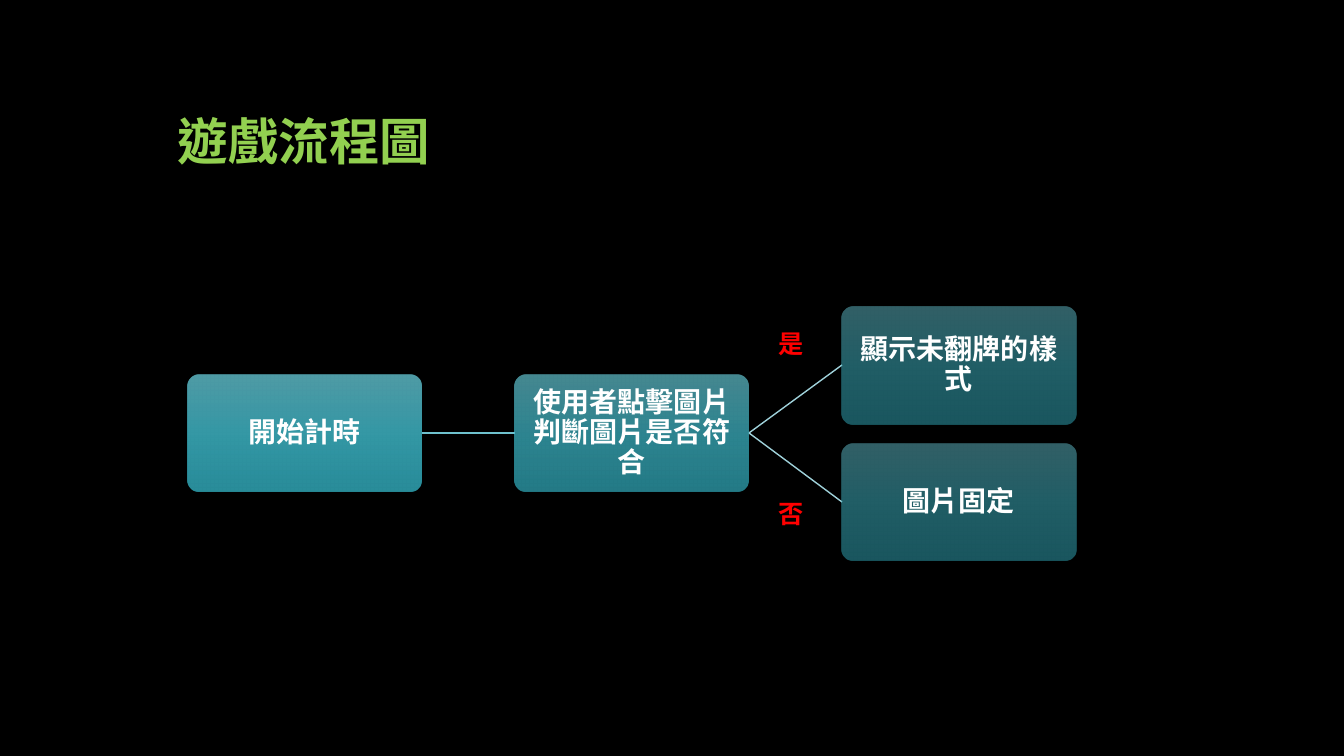
from dataclasses import dataclass

from pptx import Presentation
from pptx.dml.color import RGBColor
from pptx.enum.lang import MSO_LANGUAGE_ID as Language
from pptx.enum.shapes import MSO_CONNECTOR as Connector, MSO_SHAPE as Shape
from pptx.enum.text import MSO_ANCHOR as Anchor, PP_ALIGN as Align
from pptx.oxml import parse_xml
from pptx.oxml.ns import nsdecls, qn
from pptx.slide import Slide
from pptx.text.text import TextFrame
from pptx.util import Emu, Pt

SLIDE_WIDTH, SLIDE_HEIGHT = 1344, 756
EMU_PER_PX = 12192000 / SLIDE_WIDTH

BLACK = RGBColor(0x00, 0x00, 0x00)
WHITE = RGBColor(0xFF, 0xFF, 0xFF)
GREEN = RGBColor(0x92, 0xD0, 0x50)
RED = RGBColor(0xFF, 0x00, 0x00)
TEAL = RGBColor(0x6F, 0xC1, 0xCE)
PALE_TEAL = RGBColor(0x9F, 0xD1, 0xDA)
GRADIENT = (
    (0, RGBColor(0x63, 0xC0, 0xCE)),
    (50, RGBColor(0x41, 0xBD, 0xCD)),
    (100, RGBColor(0x32, 0xAD, 0xBE)),
)

TITLE_FONT, BODY_FONT = "Courier New", "Cabin"
STEP_WIDTH, STEP_HEIGHT = 234, 117
FIRST_COLUMN, COLUMN_PITCH = 188, 327
STEP_INSET = 5


@dataclass(frozen=True)
class Step:
    text: str
    column: int
    top: int
    opacity: int

    @property
    def left(self) -> int:
        return FIRST_COLUMN + self.column * COLUMN_PITCH

    @property
    def right(self) -> int:
        return self.left + STEP_WIDTH

    @property
    def middle(self) -> int:
        return self.top + round(STEP_HEIGHT / 2)


@dataclass(frozen=True)
class Link:
    start: Step
    end: Step
    color: RGBColor


@dataclass(frozen=True)
class Label:
    text: str
    left: int
    top: int
    width: int
    height: int
    font: str
    size: int
    color: RGBColor
    align: Align = Align.CENTER
    anchor: Anchor = Anchor.TOP
    line_spacing: float = 1.0


START = Step("開始計時", 0, 375, 80)
CHECK = Step("使用者點擊圖片判斷圖片是否符合", 1, 375, 70)
SHOW = Step("顯示未翻牌的樣式", 2, 307, 50)
KEEP = Step("圖片固定", 2, 444, 50)
STEPS = (START, CHECK, SHOW, KEEP)
LINKS = (
    Link(START, CHECK, TEAL),
    Link(CHECK, SHOW, PALE_TEAL),
    Link(CHECK, KEEP, PALE_TEAL),
)
LABELS = (
    Label("遊戲流程圖", 168, 50, 1008, 126, TITLE_FONT, 36, GREEN,
          Align.LEFT, Anchor.BOTTOM, 0.9),
    Label("是", 767, 323, 48, 40, BODY_FONT, 18, RED),
    Label("否", 767, 493, 48, 40, BODY_FONT, 18, RED),
)


def px(length: int) -> Emu:
    return Emu(round(length * EMU_PER_PX))


def write_text(frame: TextFrame, text: str, font: str, size: int, color: RGBColor,
               align: Align, anchor: Anchor, line_spacing: float) -> None:
    frame.word_wrap = True
    frame.vertical_anchor = anchor
    paragraph = frame.paragraphs[0]
    paragraph.alignment = align
    paragraph.line_spacing = line_spacing
    run = paragraph.add_run()
    run.text = text
    run.font.name = font
    run.font.size = Pt(size)
    run.font.bold = True
    run.font.color.rgb = color
    run.font.language_id = Language.TRADITIONAL_CHINESE


def gradient_fill(opacity: int):
    """Build a top-to-bottom gradient with one opacity, in percent."""
    stops = "".join(
        f'<a:gs pos="{position * 1000}"><a:srgbClr val="{color}">'
        f'<a:alpha val="{opacity * 1000}"/></a:srgbClr></a:gs>'
        for position, color in GRADIENT
    )
    return parse_xml(
        f'<a:gradFill {nsdecls("a")} rotWithShape="1"><a:gsLst>{stops}</a:gsLst>'
        '<a:lin ang="5400000" scaled="0"/></a:gradFill>'
    )


def add_step(slide: Slide, step: Step) -> None:
    shape = slide.shapes.add_shape(
        Shape.ROUNDED_RECTANGLE, px(step.left), px(step.top),
        px(STEP_WIDTH), px(STEP_HEIGHT))
    shape.adjustments[0] = 0.1
    shape.shadow.inherit = False
    shape.line.fill.background()
    shape.fill.background()
    properties = shape.element.spPr
    properties.replace(properties.find(qn("a:noFill")), gradient_fill(step.opacity))
    frame = shape.text_frame
    frame.margin_left = frame.margin_right = px(STEP_INSET)
    frame.margin_top = frame.margin_bottom = px(STEP_INSET)
    write_text(frame, step.text, BODY_FONT, 20, WHITE,
               Align.CENTER, Anchor.MIDDLE, 0.9)


def add_link(slide: Slide, link: Link) -> None:
    connector = slide.shapes.add_connector(
        Connector.STRAIGHT, px(link.start.right), px(link.start.middle),
        px(link.end.left), px(link.end.middle))
    connector.line.color.rgb = link.color
    connector.line.width = Pt(1)
    connector.element.spPr.append(parse_xml(f'<a:effectLst {nsdecls("a")}/>'))


def add_label(slide: Slide, label: Label) -> None:
    box = slide.shapes.add_textbox(
        px(label.left), px(label.top), px(label.width), px(label.height))
    write_text(box.text_frame, label.text, label.font, label.size, label.color,
               label.align, label.anchor, label.line_spacing)


def main() -> None:
    presentation = Presentation()
    presentation.slide_width = px(SLIDE_WIDTH)
    presentation.slide_height = px(SLIDE_HEIGHT)
    slide = presentation.slides.add_slide(presentation.slide_layouts[6])
    slide.background.fill.solid()
    slide.background.fill.fore_color.rgb = BLACK
    for link in LINKS:
        add_link(slide, link)
    for step in STEPS:
        add_step(slide, step)
    for label in LABELS:
        add_label(slide, label)
    presentation.save("out.pptx")


if __name__ == "__main__":
    main()
